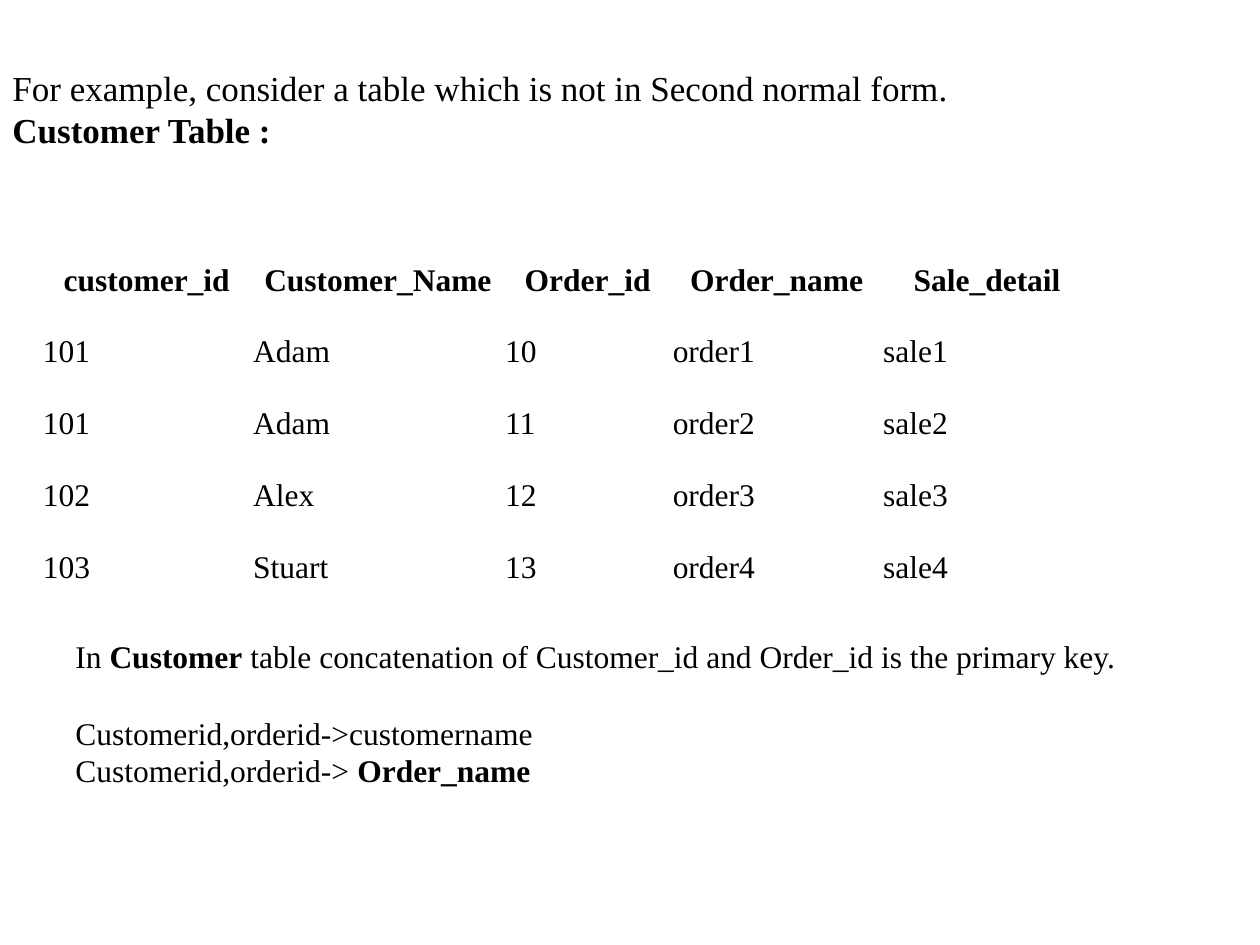
import pptx
import pptx.dml.color
import pptx.enum.text
import pptx.util
from pptx.util import Inches

FONT = "Times New Roman"
COLORS = {"text": "000000"}

# Each paragraph is (space before in points, [(text, bold), ...]).
INTRO = [
    (0, [("For example, consider a table which is not in Second normal form.", False)]),
    (0, [("Customer Table :", True)]),
]
KEY_NOTES = [
    (0, [("In ", False), ("Customer", True),
         (" table concatenation of Customer_id and Order_id is the primary key.", False)]),
    (22, [("Customerid,orderid->customername", False)]),
    (0, [("Customerid,orderid-> ", False), ("Order_name", True)]),
]
CUSTOMERS = [
    ("customer_id", "Customer_Name", "Order_id", "Order_name", "Sale_detail"),
    ("101", "Adam", "10", "order1", "sale1"),
    ("101", "Adam", "11", "order2", "sale2"),
    ("102", "Alex", "12", "order3", "sale3"),
    ("103", "Stuart", "13", "order4", "sale4"),
]
COLUMN_WIDTHS = (1.67, 2, 1.33, 1.67, 1.67)
ROW_HEIGHT = 0.57
CELL_MARGIN = Inches(0.01)


def set_font(paragraph, size):
    paragraph.font.name = FONT
    paragraph.font.size = pptx.util.Pt(size)
    paragraph.font.color.rgb = pptx.dml.color.RGBColor.from_string(COLORS["text"])


def add_text(slide, box, paragraphs, size, anchor):
    frame = slide.shapes.add_textbox(*map(Inches, box)).text_frame
    frame.word_wrap = True
    frame.vertical_anchor = anchor
    for index, (space_before, runs) in enumerate(paragraphs):
        paragraph = frame.add_paragraph() if index else frame.paragraphs[0]
        paragraph.space_before = pptx.util.Pt(space_before)
        set_font(paragraph, size)
        for text, bold in runs:
            run = paragraph.add_run()
            run.text = text
            run.font.bold = bold


def add_customer_table(slide, left, top):
    table = slide.shapes.add_table(
        len(CUSTOMERS), len(COLUMN_WIDTHS), Inches(left), Inches(top),
        Inches(sum(COLUMN_WIDTHS)), Inches(ROW_HEIGHT * len(CUSTOMERS))).table
    table.first_row = table.horz_banding = False
    for column, width in zip(table.columns, COLUMN_WIDTHS):
        column.width = Inches(width)
    for row_index, values in enumerate(CUSTOMERS):
        is_header = row_index == 0
        for column_index, value in enumerate(values):
            cell = table.cell(row_index, column_index)
            cell.text = value
            cell.fill.background()
            cell.vertical_anchor = pptx.enum.text.MSO_ANCHOR.MIDDLE
            cell.margin_left = cell.margin_right = CELL_MARGIN
            cell.margin_top = cell.margin_bottom = CELL_MARGIN
            paragraph = cell.text_frame.paragraphs[0]
            paragraph.line_spacing = 1.15
            set_font(paragraph, 18)
            paragraph.font.bold = is_header
            if is_header:
                paragraph.alignment = pptx.enum.text.PP_ALIGN.CENTER


def main():
    presentation = pptx.Presentation()
    presentation.slide_width = Inches(10)
    presentation.slide_height = Inches(7.5)
    slide = presentation.slides.add_slide(presentation.slide_layouts[6])
    add_customer_table(slide, 0.33, 1.92)
    add_text(slide, (0, 0.48, 7.71, 0.77), INTRO, 20, pptx.enum.text.MSO_ANCHOR.MIDDLE)
    add_text(slide, (0.5, 5.01, 9.25, 2.27), KEY_NOTES, 18, pptx.enum.text.MSO_ANCHOR.TOP)
    presentation.save("out.pptx")


if __name__ == "__main__":
    main()
